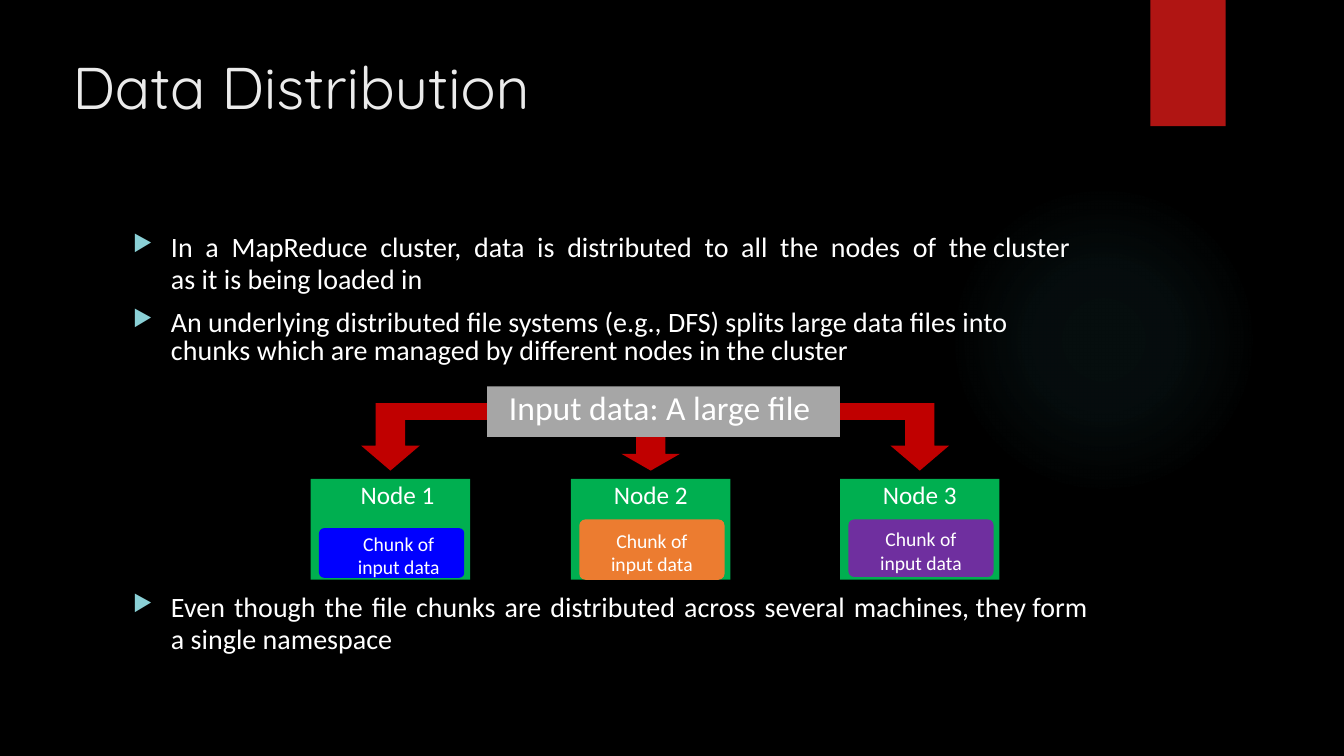
from lxml import etree
from pptx import Presentation
from pptx.dml.color import RGBColor
from pptx.enum import shapes, text
from pptx.oxml import ns
from pptx.util import Cm, Pt

BLACK = RGBColor(0x00, 0x00, 0x00)
WHITE = RGBColor(0xFF, 0xFF, 0xFF)
TITLE_GREY = RGBColor(0xEB, 0xEB, 0xEB)
RIBBON_RED = RGBColor(0xB0, 0x15, 0x13)
ARROW_RED = RGBColor(0xC0, 0x00, 0x00)
BANNER_GREY = RGBColor(0xA6, 0xA6, 0xA6)
NODE_GREEN = RGBColor(0x00, 0xAF, 0x50)
BLUE = RGBColor(0x00, 0x00, 0xFF)
ORANGE = RGBColor(0xEC, 0x7C, 0x30)
PURPLE = RGBColor(0x6F, 0x2F, 0x9F)
GLOW = RGBColor(0x50, 0xB9, 0xC1)
BULLET = RGBColor(0x8A, 0xD0, 0xD6)

NODES = [
    ("Node 1", 7.83, BLUE, 1.24, 1.25, 0.36),
    ("Node 2", 14.39, ORANGE, 1.02, 1.52, 0),
    ("Node 3", 21.17, PURPLE, 1.02, 1.45, 0),
]
NODE_TOP, NODE_WIDTH, NODE_HEIGHT = 12.07, 4.02, 2.54
BANNER = (12.28, 9.74, 8.89, 1.27)
ARROW_TIP = 11.86

TOP_BULLETS = [
    (["In a MapReduce cluster, data is distributed to all the nodes of the cluster",
      "as it is being loaded in"], 22.7, 12, 4.5),
    (["An underlying distributed file systems (e.g., DFS) splits large data files into",
      "chunks which are managed by different nodes in the cluster"], 20.2, 0, 0),
]
LAST_BULLET = [
    (["Even though the file chunks are distributed across several machines, they form",
      "a single namespace"], 22.7, 9, 1.9),
]


def style(shape, color):
    shape.shadow.inherit = False
    shape.fill.solid()
    shape.fill.fore_color.rgb = color
    shape.line.fill.background()
    return shape


def add_filled(page, kind, box, color):
    return style(page.shapes.add_shape(kind, *map(Cm, box)), color)


def set_insets(frame, left=0, top=0, right=0):
    frame.margin_left, frame.margin_top = Cm(left), Cm(top)
    frame.margin_right, frame.margin_bottom = Cm(right), 0


def set_font(font, size, color=WHITE, name="Calibri"):
    font.name, font.size, font.color.rgb = name, Pt(size), color


def write_centred(shape, lines, size, anchor, **insets):
    frame = shape.text_frame
    frame.word_wrap = True
    frame.vertical_anchor = anchor
    set_insets(frame, **insets)
    frame.text = "\n".join(lines)
    for para in frame.paragraphs:
        para.alignment = text.PP_ALIGN.CENTER
        set_font(para.runs[0].font, size)


def add_text_box(page, box):
    frame = page.shapes.add_textbox(*map(Cm, box)).text_frame
    frame.word_wrap = True
    set_insets(frame)
    return frame


def add_backdrop(page):
    page.background.fill.solid()
    page.background.fill.fore_color.rgb = BLACK
    glow = add_filled(page, shapes.MSO_SHAPE.OVAL, (23.9, 4.65, 7.82, 7.82), GLOW)
    solid = glow._element.spPr.find(ns.qn("a:solidFill"))
    stops = "".join(
        f'<a:gs pos="{place}000"><a:srgbClr val="{GLOW}"><a:alpha val="{alpha}000"/></a:srgbClr></a:gs>'
        for place, alpha in ((0, 7), (36, 6), (69, 0)))
    gradient = etree.fromstring(
        f'<a:gradFill {ns.nsdecls("a")}><a:gsLst>{stops}</a:gsLst><a:path path="circle">'
        '<a:fillToRect l="50000" t="50000" r="50000" b="50000"/></a:path></a:gradFill>')
    solid.getparent().replace(solid, gradient)
    add_filled(page, shapes.MSO_SHAPE.RECTANGLE, (28.99, 0, 1.9, 3.18), RIBBON_RED)


def add_title(page, box):
    frame = add_text_box(page, box)
    frame.text = "Data Distribution"
    set_font(frame.paragraphs[0].runs[0].font, 42, TITLE_GREY, "Quicksand")


def format_bullet(para):
    props = para._p.get_or_add_pPr()
    props.set("marL", str(Cm(0.98)))
    props.set("indent", str(Cm(-0.96)))
    color = etree.SubElement(props, ns.qn("a:buClr"))
    etree.SubElement(color, ns.qn("a:srgbClr"), val=str(BULLET))
    etree.SubElement(props, ns.qn("a:buSzPct"), val="80000")
    etree.SubElement(props, ns.qn("a:buChar"), char="▶")


def add_bullets(page, box, bullets):
    frame = add_text_box(page, box)
    for index, (lines, spacing, wide_gaps, gap) in enumerate(bullets):
        para = frame.add_paragraph() if index else frame.paragraphs[0]
        format_bullet(para)
        para.line_spacing = Pt(spacing)
        para.space_before = Pt(10 if index else 0)
        *words, rest = lines[0].split(" ", wide_gaps) if wide_gaps else [lines[0]]
        for word in words:
            para.add_run().text = word
            space = para.add_run()
            space.text = " "
            space.font._element.set("spc", str(int(gap * 100)))
        para.add_run().text = rest
        para.add_line_break()
        para.add_run().text = lines[1]
        for span in para.runs:
            set_font(span.font, 20)


def add_elbow_arrow(page, start, center, top):
    side = 1 if start > center else -1
    half, head, bar, neck = 0.37 * side, 0.74 * side, 0.42, ARROW_TIP - 0.63
    points = [(start, top), (center - half, top), (center - half, neck),
              (center - head, neck), (center, ARROW_TIP), (center + head, neck),
              (center + half, neck), (center + half, top + bar), (start, top + bar)]
    outline = [(Cm(x), Cm(y)) for x, y in points]
    builder = page.shapes.build_freeform(*outline[0])
    builder.add_line_segments(outline[1:], close=True)
    style(builder.convert_to_shape(), ARROW_RED)


def add_node(page, box, label, color, chunk_top, chunk_height, shift):
    left, top, width, height = box
    node = add_filled(page, shapes.MSO_SHAPE.RECTANGLE, box, NODE_GREEN)
    write_centred(node, [label], 18, text.MSO_ANCHOR.TOP, left=shift)
    chunk = add_filled(page, shapes.MSO_SHAPE.ROUNDED_RECTANGLE,
                       (left + 0.21, top + chunk_top, 3.66, chunk_height), color)
    chunk.adjustments[0] = 0.1
    write_centred(chunk, ["Chunk of", "input data"], 14,
                  text.MSO_ANCHOR.MIDDLE, left=shift, top=0.12)


def add_diagram(page, banner_box):
    left, top, width, height = banner_box
    first, middle, last = [node[1] + NODE_WIDTH / 2 for node in NODES]
    add_elbow_arrow(page, left, first, top + 0.42)
    add_elbow_arrow(page, left + width, last, top + 0.42)
    add_filled(page, shapes.MSO_SHAPE.DOWN_ARROW,
               (middle - 0.74, top + height, 1.48, ARROW_TIP - top - height), ARROW_RED)
    for label, x, *chunk in NODES:
        add_node(page, (x, NODE_TOP, NODE_WIDTH, NODE_HEIGHT), label, *chunk)
    banner = add_filled(page, shapes.MSO_SHAPE.RECTANGLE, banner_box, BANNER_GREY)
    write_centred(banner, ["Input data: A large file"], 24, text.MSO_ANCHOR.TOP, right=0.2)


def main():
    deck = Presentation()
    deck.slide_width, deck.slide_height = Cm(33.87), Cm(19.05)
    page = deck.slides.add_slide(deck.slide_layouts[6])
    add_backdrop(page)
    add_title(page, (1.83, 1.27, 26.14, 3.89))
    add_bullets(page, (3.33, 5.84, 24.5, 3.5), TOP_BULLETS)
    add_diagram(page, BANNER)
    add_bullets(page, (3.33, 14.91, 24.5, 1.8), LAST_BULLET)
    deck.save("out.pptx")


if __name__ == "__main__":
    main()
